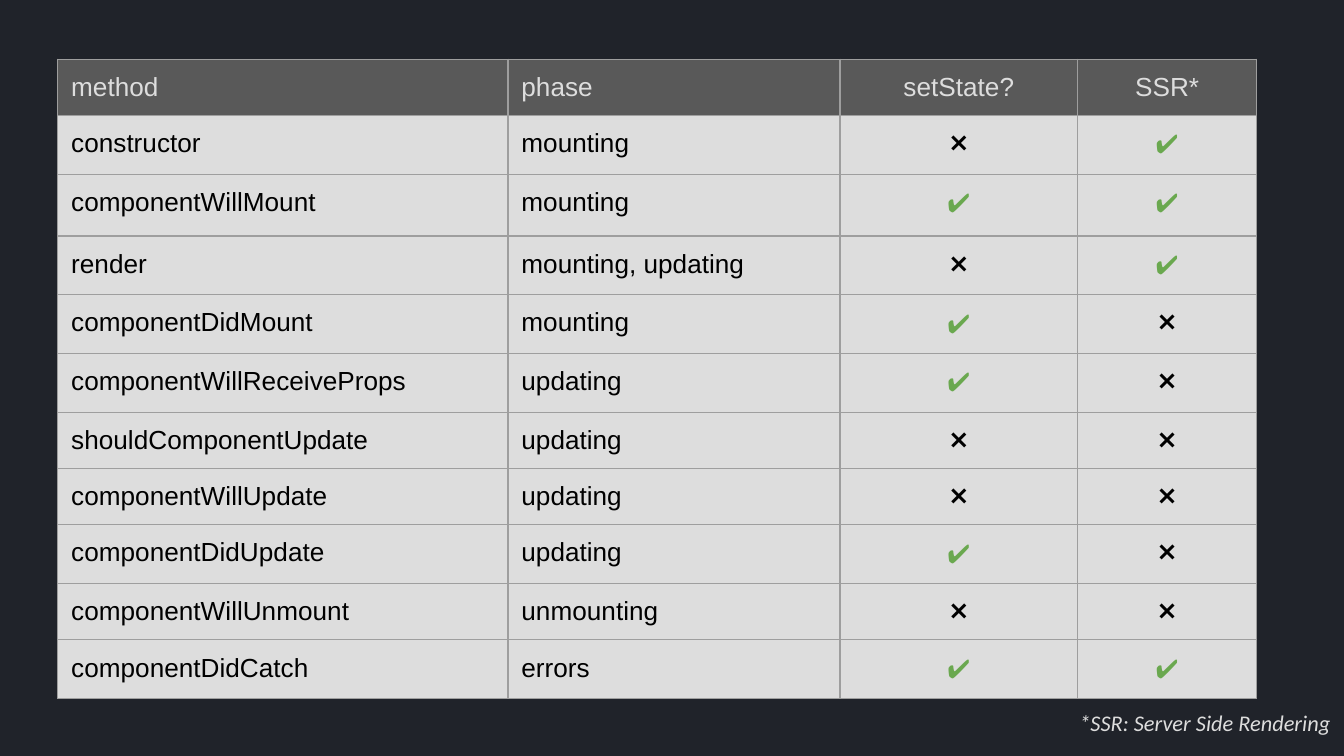
from lxml import etree
from pptx import Presentation
from pptx.dml.color import RGBColor
from pptx.enum.text import PP_ALIGN
from pptx.oxml.ns import qn
from pptx.util import Inches, Pt

LEFT, CENTER, RIGHT = PP_ALIGN.LEFT, PP_ALIGN.CENTER, PP_ALIGN.RIGHT
BACKGROUND, HEADER_FILL, LIGHT = "20232A", "595959", "DDDDDD"
BLACK, GREEN, BORDER = "000000", "6AA84F", "9E9E9E"
YES, NO = "\u2714", "\u274c"
MARGINS = {f"margin_{side}": Inches(0.1)
           for side in ("left", "right", "top", "bottom")}


def color(value):
    return RGBColor.from_string(value)


def write_text(text_frame, text, font_color, alignment, font_values):
    paragraph = text_frame.paragraphs[0]
    paragraph.alignment = alignment
    run = paragraph.add_run()
    run.text = text
    run.font.color.rgb = color(font_color)
    for name, value in font_values.items():
        setattr(run.font, name, value)


# Slide, 16:9
presentation = Presentation()
presentation.slide_width = Inches(10)
presentation.slide_height = Inches(10 * 9 / 16)
slide = presentation.slides.add_slide(presentation.slide_layouts[6])
slide.background.fill.solid()
slide.background.fill.fore_color.rgb = color(BACKGROUND)

# Lifecycle methods
lifecycle = [
    ("method", "phase", "setState?", "SSR*"),
    ("constructor", "mounting", NO, YES),
    ("componentWillMount", "mounting", YES, YES),
    ("render", "mounting, updating", NO, YES),
    ("componentDidMount", "mounting", YES, NO),
    ("componentWillReceiveProps", "updating", YES, NO),
    ("shouldComponentUpdate", "updating", NO, NO),
    ("componentWillUpdate", "updating", NO, NO),
    ("componentDidUpdate", "updating", YES, NO),
    ("componentWillUnmount", "unmounting", NO, NO),
    ("componentDidCatch", "errors", YES, YES),
]
column_widths = [3.35, 2.47, 1.77, 1.33]
row_heights = [0.38, 0.41, 0.46, 0.41] + [0.36] * 7

# Table grid
table = slide.shapes.add_table(
    len(lifecycle), len(column_widths), Inches(0.43), Inches(0.44),
    Inches(sum(column_widths)), Inches(sum(row_heights))).table
for column, width in zip(table.columns, column_widths):
    column.width = Inches(width)
for row, height in zip(table.rows, row_heights):
    row.height = Inches(height)

# Cells
for row_index, values in enumerate(lifecycle):
    is_header = row_index == 0
    for column_index, text in enumerate(values):
        cell = table.cell(row_index, column_index)
        for name, value in MARGINS.items():
            setattr(cell, name, value)
        font_color = LIGHT if is_header else GREEN if text == YES else BLACK
        font_name = "Calibri" if text == YES else "Arial"
        write_text(cell.text_frame, text, font_color,
                   CENTER if column_index >= 2 else LEFT,
                   {"name": font_name, "size": Pt(14)})
        cell.fill.solid()
        cell.fill.fore_color.rgb = color(HEADER_FILL if is_header else LIGHT)

        # Borders go before the fill in the cell properties
        properties = cell._tc.get_or_add_tcPr()
        for position, side in enumerate(("lnL", "lnR", "lnT", "lnB")):
            line = etree.Element(qn(f"a:{side}"), w=str(Pt(0.75)))
            fill = etree.SubElement(line, qn("a:solidFill"))
            etree.SubElement(fill, qn("a:srgbClr"), val=BORDER)
            properties.insert(position, line)

# Footnote
footnote = slide.shapes.add_textbox(
    Inches(6.36), Inches(5.18), Inches(3.64), Inches(0.44))
footnote.text_frame.word_wrap = True
for name, value in MARGINS.items():
    setattr(footnote.text_frame, name, value)
write_text(footnote.text_frame, "*SSR: Server Side Rendering", LIGHT, RIGHT,
           {"name": "Calibri", "size": Pt(12), "italic": True})

presentation.save("out.pptx")
